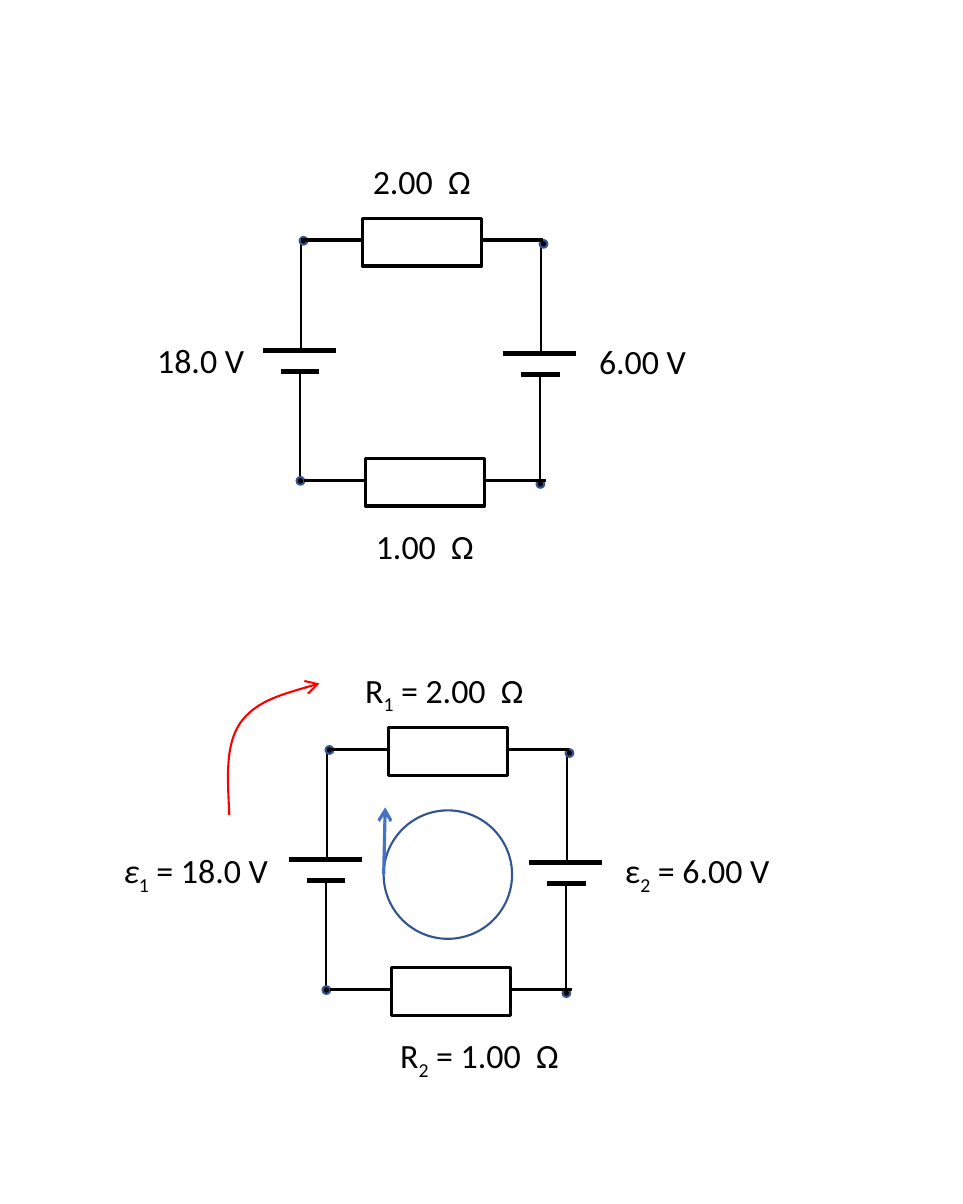
"""Build a slide with a two-battery circuit and its labelled loop analysis."""
from lxml.etree import SubElement
from pptx import Presentation
from pptx.dml.color import RGBColor
from pptx.enum.shapes import MSO_CONNECTOR, MSO_SHAPE
from pptx.enum.text import MSO_AUTO_SIZE
from pptx.oxml.ns import qn
from pptx.util import Cm, Inches, Pt

COLORS = {"ink": "000000", "outline": "325491", "loop": "4472C4", "current": "FF0000"}
FONT = "Calibri"
BATTERIES = [(1.72, 2.29), (3.29, 2.31)]
RESISTORS = [(2.37, 1.43), (2.39, 3.0)]
CIRCUIT_OFFSETS = [(0, 0), (0.17, 3.33)]
LABELS = [
    (0.93, 2.17, 0.78, [("18.0 V", "")]),
    (3.82, 2.18, 0.78, [("6.00 V", "")]),
    (2.34, 1.0, 0.85, [("2.00  Ω", "")]),
    (2.36, 3.39, 0.85, [("1.00  Ω", "")]),
    (0.71, 5.51, 1.2, [("ε", "italic"), ("1", "subscript"), (" = 18.0 V", "")]),
    (3.99, 5.51, 1.2, [("ε", ""), ("2", "subscript"), (" = 6.00 V", "")]),
    (2.29, 4.33, 1.3, [("R", ""), ("1", "subscript"), (" = 2.00  Ω", "")]),
    (2.52, 6.72, 1.3, [("R", ""), ("2", "subscript"), (" = 1.00  Ω", "")]),
]
LOOP = (2.51, 5.3, 0.84)
LOOP_ARROW = ((2.51, 5.72), (2.52, 5.28))
CURRENT_CURVE = [(1.5, 5.33), (1.49, 5.1), (1.47, 4.88), (1.57, 4.73),
                 (1.67, 4.59), (1.88, 4.53), (2.09, 4.47)]


def color(name):
    return RGBColor.from_string(COLORS[name])


def style_line(shape, name, width, arrow=False):
    shape.line.color.rgb = color(name)
    shape.line.width = Pt(width)
    if arrow:
        line = shape.line._get_or_add_ln()
        SubElement(line, qn("a:tailEnd"), type="arrow")


def add_line(shapes, start, end, width, name="ink", arrow=False):
    points = [Inches(value) for value in (*start, *end)]
    connector = shapes.add_connector(MSO_CONNECTOR.STRAIGHT, *points)
    style_line(connector, name, width, arrow)
    SubElement(connector._element.spPr, qn("a:effectLst"))


def add_outline(shapes, kind, left, top, width, height, name, weight, fill=None):
    box = [Inches(value) for value in (left, top, width, height)]
    shape = shapes.add_shape(kind, *box)
    shape.shadow.inherit = False
    if fill:
        shape.fill.solid()
        shape.fill.fore_color.rgb = color(fill)
    else:
        shape.fill.background()
    style_line(shape, name, weight)


def add_battery_branch(slide, x, y):
    add_line(slide.shapes, (x + 0.25, y - 0.01), (x + 0.25, y - 0.73), 1)
    add_line(slide.shapes, (x + 0.24, y + 0.86), (x + 0.24, y + 0.14), 1)
    plates = slide.shapes.add_group_shape().shapes
    add_line(plates, (x, y), (x + 0.48, y), 2.25)
    add_line(plates, (x + 0.12, y + 0.14), (x + 0.37, y + 0.14), 2.25)
    for across, down in ((0.24, -0.74), (0.22, 0.83)):
        add_outline(slide.shapes, MSO_SHAPE.OVAL, x + across, y + down,
                    0.05, 0.05, "outline", 1, "ink")


def add_resistor(slide, x, y):
    parts = slide.shapes.add_group_shape().shapes
    add_outline(parts, MSO_SHAPE.RECTANGLE, x, y, 0.78, 0.31, "ink", 1.5)
    for start, end in ((-0.4, 0), (0.77, 1.18)):
        add_line(parts, (x + start, y + 0.14), (x + end, y + 0.14), 1.5)


def add_label(slide, left, top, width, runs):
    box = slide.shapes.add_textbox(Inches(left), Inches(top), Inches(width), Inches(0.37))
    frame = box.text_frame
    frame.word_wrap = False
    frame.auto_size = MSO_AUTO_SIZE.SHAPE_TO_FIT_TEXT
    for text, style in runs:
        run = frame.paragraphs[0].add_run()
        run.text = text
        run.font.name = FONT
        run.font.size = Pt(16)
        run.font.color.rgb = color("ink")
        if style == "italic":
            run.font.italic = True
        elif style == "subscript":
            run.font._element.set("baseline", "-25000")


def add_current_arrow(slide):
    start, *controls = [(Inches(x), Inches(y)) for x, y in CURRENT_CURVE]
    builder = slide.shapes.build_freeform(*start)
    builder.add_line_segments(controls, close=False)
    shape = builder.convert_to_shape()
    shape.shadow.inherit = False
    shape.fill.background()
    style_line(shape, "current", 1, arrow=True)
    outline = next(shape._element.iter(qn("a:path")))
    segments = outline.findall(qn("a:lnTo"))
    for first in range(0, len(segments), 3):
        curve = SubElement(outline, qn("a:cubicBezTo"))
        for segment in segments[first:first + 3]:
            curve.append(segment[0])
            outline.remove(segment)


def main():
    presentation = Presentation()
    presentation.slide_width = Cm(16)
    presentation.slide_height = Cm(20)
    slide = presentation.slides.add_slide(presentation.slide_layouts[6])
    for across, down in CIRCUIT_OFFSETS:
        for x, y in BATTERIES:
            add_battery_branch(slide, x + across, y + down)
        for x, y in RESISTORS:
            add_resistor(slide, x + across, y + down)
    for label in LABELS:
        add_label(slide, *label)
    left, top, diameter = LOOP
    add_outline(slide.shapes, MSO_SHAPE.OVAL, left, top, diameter, diameter, "outline", 1)
    add_line(slide.shapes, *LOOP_ARROW, 1.5, "loop", arrow=True)
    add_current_arrow(slide)
    presentation.save("out.pptx")


if __name__ == "__main__":
    main()
